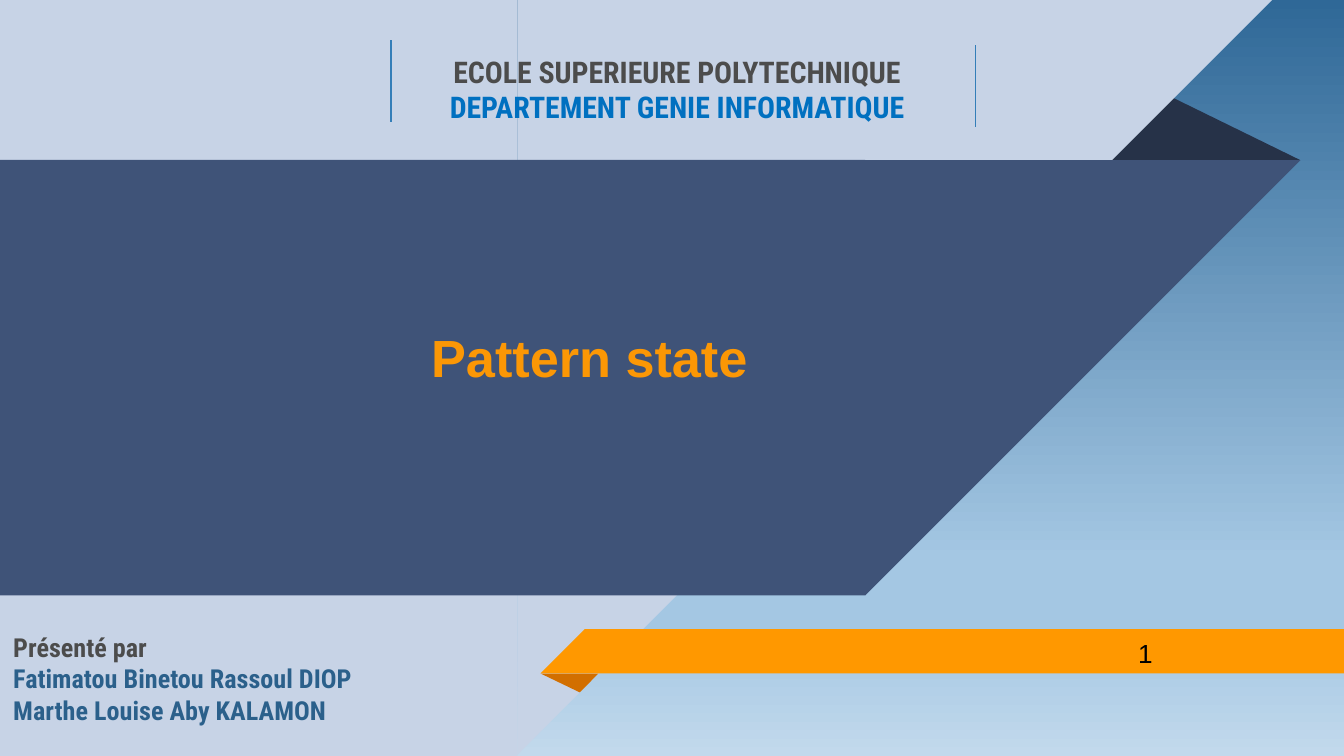
from lxml import etree
from pptx import Presentation
from pptx.dml.color import RGBColor
from pptx.enum.shapes import MSO_CONNECTOR, MSO_SHAPE
from pptx.enum.text import MSO_ANCHOR, PP_ALIGN
from pptx.oxml.ns import qn
from pptx.util import Pt

RECTANGLE = MSO_SHAPE.RECTANGLE
RIGHT_TRIANGLE = MSO_SHAPE.RIGHT_TRIANGLE
TRIANGLE = MSO_SHAPE.ISOSCELES_TRIANGLE
STRAIGHT = MSO_CONNECTOR.STRAIGHT
TOP, MIDDLE, BOTTOM = MSO_ANCHOR.TOP, MSO_ANCHOR.MIDDLE, MSO_ANCHOR.BOTTOM
LEFT, CENTER = PP_ALIGN.LEFT, PP_ALIGN.CENTER

THEME = {
    "sky": [(0, "2F6897"), (74, "A4C7E3"), (83, "A4C7E3"), (100, "C2D9EC")],
    "panel": "C7D3E6", "band": "3F5378", "band_fold": "263248",
    "ribbon": "FF9800", "ribbon_fold": "D26F00", "rule": "347EB8",
    "grey": "4C4C4C", "school_blue": "0070C0", "author_blue": "2B608B",
    "title": "FB9705", "number": "000000",
    "condensed": "Roboto Condensed", "plain": "Arial",
    "small": 14, "medium": 16, "large": 28,
}

WIDTH, HEIGHT = 720, 405
PANEL_WIDTH = 277.2
BAND_TOP, BAND_HEIGHT, BAND_WIDTH = 85.7, 233.3, 463.5
RIBBON_LEFT, RIBBON_TOP, RIBBON_HEIGHT = 289.6, 337, 23.8
RIBBON_BODY = RIBBON_LEFT + RIBBON_HEIGHT
FOLD_PEAK = 0.324
HALF_TURN = {"rotation": 180}

SHAPES = [
    (TRIANGLE, (594, 51.8, 102.4, BAND_TOP - 51.8), "band_fold", {}, False),
    (RECTANGLE, (0, 0, PANEL_WIDTH, HEIGHT), "panel", {}, False),
    (RIGHT_TRIANGLE, (PANEL_WIDTH, -0.7, HEIGHT, HEIGHT), "panel", HALF_TURN, True),
    (RECTANGLE, (0, BAND_TOP, BAND_WIDTH, BAND_HEIGHT), "band", {}, False),
    (RIGHT_TRIANGLE, (BAND_WIDTH, BAND_TOP, BAND_HEIGHT, BAND_HEIGHT), "band", HALF_TURN, True),
    (TRIANGLE, (RIBBON_LEFT, RIBBON_TOP + RIBBON_HEIGHT, 31, 10.1), "ribbon_fold", HALF_TURN, False),
    (RECTANGLE, (RIBBON_BODY, RIBBON_TOP, WIDTH - RIBBON_BODY, RIBBON_HEIGHT), "ribbon", {}, False),
    (RIGHT_TRIANGLE, (RIBBON_LEFT, RIBBON_TOP, RIBBON_HEIGHT, RIBBON_HEIGHT), "ribbon", {}, True),
]

RULE_HEIGHT = 44
RULES = [(209.5, 21.6), (522.7, 24.3)]

TEXTS = [
    ((0, 331, 325.4, 74), TOP, LEFT, "condensed", "small", True, [
        ("Présenté par", "grey"),
        ("Fatimatou Binetou Rassoul DIOP", "author_blue"),
        ("Marthe Louise Aby KALAMON", "author_blue"),
    ]),
    ((602.6, 337, 117.4, 25.2), MIDDLE, LEFT, "plain", "small", False, [("1", "number")]),
    ((223.9, 167, 428.4, 67.7), TOP, LEFT, "plain", "large", True, [("Pattern state", "title")]),
    ((210.2, 0.7, 305.3, 73.4), BOTTOM, CENTER, "condensed", "medium", True, [
        ("ECOLE SUPERIEURE POLYTECHNIQUE", "grey"),
        ("DEPARTEMENT GENIE INFORMATIQUE", "school_blue"),
    ]),
]


def color(name):
    return RGBColor.from_string(THEME[name])


def points(values):
    return [Pt(value) for value in values]


def apply(target, values):
    for name, value in values.items():
        setattr(target, name, value)


def paint_background(slide):
    fill = slide.background.fill
    fill.gradient()
    fill.gradient_angle = 270
    stops = next(slide.element.iter(qn("a:gsLst")))
    for stop in list(stops):
        stops.remove(stop)
    for position, value in THEME["sky"]:
        stop = etree.SubElement(stops, qn("a:gs"), pos=str(position * 1000))
        etree.SubElement(stop, qn("a:srgbClr"), val=value)


def add_shape(slide, kind, box, fill, settings, flipped):
    shape = slide.shapes.add_shape(kind, *points(box))
    shape.shadow.inherit = False
    shape.fill.solid()
    shape.fill.fore_color.rgb = color(fill)
    shape.line.fill.background()
    apply(shape, settings)
    if kind == TRIANGLE:
        shape.adjustments[0] = FOLD_PEAK
    if flipped:
        shape.element.spPr.find(qn("a:xfrm")).set("flipH", "1")


def add_rule(slide, left, top):
    rule = slide.shapes.add_connector(STRAIGHT, *points((left, top, left, top + RULE_HEIGHT)))
    rule.line.color.rgb = color("rule")
    rule.line.width = Pt(0.75)
    etree.SubElement(rule.element.spPr, qn("a:effectLst"))


def add_text(slide, box, anchor, alignment, font, size, bold, lines):
    frame = slide.shapes.add_textbox(*points(box)).text_frame
    margins = {f"margin_{side}": Pt(7.2) for side in ("left", "right", "top", "bottom")}
    apply(frame, {"word_wrap": True, "vertical_anchor": anchor, **margins})
    for index, (text, ink) in enumerate(lines):
        paragraph = frame.add_paragraph() if index else frame.paragraphs[0]
        paragraph.alignment = alignment
        run = paragraph.add_run()
        run.text = text
        apply(run.font, {"name": THEME[font], "size": Pt(THEME[size]), "bold": bold})
        run.font.color.rgb = color(ink)


def main():
    presentation = Presentation()
    apply(presentation, {"slide_width": Pt(WIDTH), "slide_height": Pt(HEIGHT)})
    slide = presentation.slides.add_slide(presentation.slide_layouts[6])
    paint_background(slide)
    for shape in SHAPES:
        add_shape(slide, *shape)
    for rule in RULES:
        add_rule(slide, *rule)
    for text in TEXTS:
        add_text(slide, *text)
    presentation.save("out.pptx")


if __name__ == "__main__":
    main()
